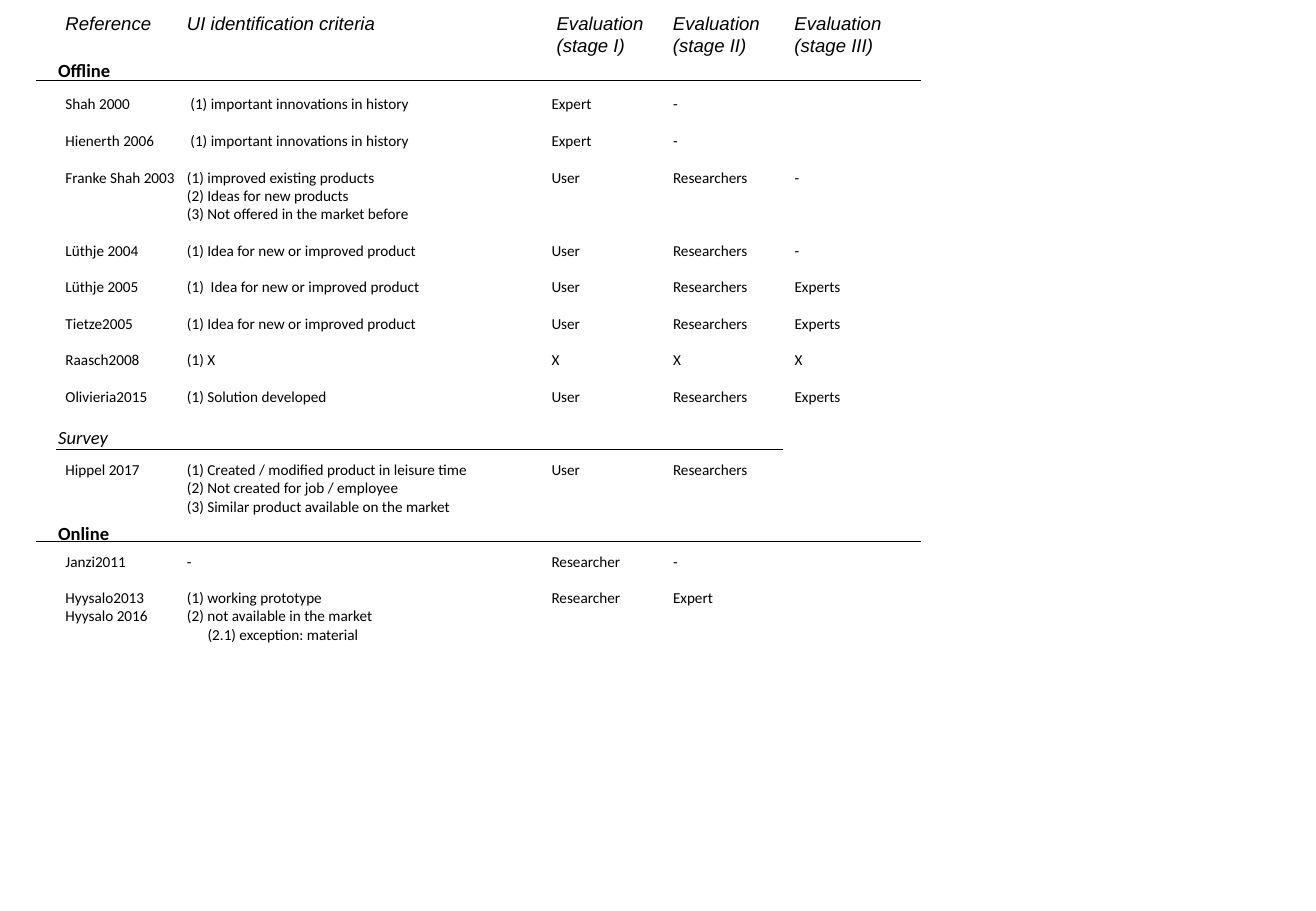
from lxml.etree import SubElement
from pptx import Presentation
from pptx.dml.color import RGBColor
from pptx.enum.shapes import MSO_CONNECTOR
from pptx.oxml.ns import qn
from pptx.util import Inches, Pt

BLACK = RGBColor(0, 0, 0)
WHITE = RGBColor(255, 255, 255)

HEADER = [
    (0, ("Reference", "UI identification criteria", " Evaluation", "Evaluation", "Evaluation")),
    (0, ("", "", " (stage I)", "(stage II)", "(stage III)")),
]

# Free lines above the row, then its cells
STUDIES = [
    (0, ("Shah 2000", " (1) important innovations in history", "Expert", "-")),
    (1, ("Hienerth 2006", " (1) important innovations in history", "Expert", "-")),
    (1, ("Franke Shah 2003", "(1) improved existing products", "User", "Researchers", "-")),
    (0, ("", "(2) Ideas for new products")),
    (0, ("", "(3) Not offered in the market before")),
    (1, ("Lüthje 2004", "(1) Idea for new or improved product", "User", "Researchers", "-")),
    (1, ("Lüthje 2005", "(1)  Idea for new or improved product", "User", "Researchers", "Experts")),
    (1, ("Tietze2005", "(1) Idea for new or improved product", "User", "Researchers", "Experts")),
    (1, ("Raasch2008", "(1) X", "X", "X", "X")),
    (1, ("Olivieria2015", "(1) Solution developed", "User", "Researchers", "Experts")),
    (3, ("Hippel 2017", "(1) Created / modified product in leisure time", "User", "Researchers")),
    (0, ("", "(2) Not created for job / employee")),
    (0, ("", "(3) Similar product available on the market")),
    (2, ("Janzi2011", "-", "Researcher", "-")),
    (1, ("Hyysalo2013", "(1) working prototype", "Researcher", "Expert")),
    (0, ("Hyysalo 2016", "(2) not available in the market")),
]
EXCEPTION = [(0, ("", "(2.1) exception: material"))]

# Title, top of its box, font style, rule: left, right, height
SECTIONS = [
    ("Offline", 0.44, {"bold": True}, (0.3, 7.58, 0.66)),
    ("Survey", 3.46, {"italic": True}, (0.46, 6.44, 3.7)),
    ("Online", 4.25, {"bold": True}, (0.3, 7.58, 4.46)),
]

COLUMN_STOPS = (1, 4, 5, 6)
EXCEPTION_STOPS = (1.17,)
LINE_HEIGHT = 10.85  # points, one line of the study list

HEADER_FONT = {"name": "Arial", "size": Pt(11), "italic": True}
STUDY_FONT = {"name": "Calibri", "size": Pt(9)}
SECTION_FONT = {"name": "Calibri", "size": Pt(11)}


def add_box(page, left, top, width, height):
    box = page.shapes.add_textbox(*map(Inches, (left, top, width, height)))
    box.text_frame.word_wrap = True
    return box.text_frame


def add_rows(frame, rows, font, stops=()):
    """Write each row as one paragraph whose cells sit on tab stops."""
    for free_lines, cells in rows:
        first = frame.paragraphs[0]
        para = frame.add_paragraph() if first.runs else first
        para.space_before = Pt(free_lines * LINE_HEIGHT)
        if stops:
            tabs = SubElement(para._p.get_or_add_pPr(), qn("a:tabLst"))
            for stop in stops:
                SubElement(tabs, qn("a:tab"), pos=str(Inches(stop)), algn="l")
        span = para.add_run()
        span.text = "\t".join(cells)
        for key, value in font.items():
            setattr(span.font, key, value)
        span.font.color.rgb = BLACK


def add_rule(page, left, right, height):
    ends = map(Inches, (left, height, right, height))
    rule = page.shapes.add_connector(MSO_CONNECTOR.STRAIGHT, *ends)
    rule.line.color.rgb = BLACK
    rule.line.width = Pt(0.75)
    SubElement(rule._element.spPr, qn("a:effectLst"))


def main():
    deck = Presentation()
    deck.slide_width, deck.slide_height = Inches(10.83), Inches(7.5)
    page = deck.slides.add_slide(deck.slide_layouts[6])
    page.background.fill.solid()
    page.background.fill.fore_color.rgb = WHITE

    studies = add_box(page, 0.44, 0.73, 10.39, 5.71)
    add_rows(studies, STUDIES, STUDY_FONT, COLUMN_STOPS)
    add_rows(studies, EXCEPTION, STUDY_FONT, EXCEPTION_STOPS)

    header = add_box(page, 0.44, 0.05, 9.94, 0.47)
    add_rows(header, HEADER, HEADER_FONT, COLUMN_STOPS)

    for title, top, style, rule in SECTIONS:
        section = add_box(page, 0.38, top, 2.28, 0.29)
        add_rows(section, [(0, (title,))], SECTION_FONT | style)
        add_rule(page, *rule)

    deck.save("out.pptx")


if __name__ == "__main__":
    main()
